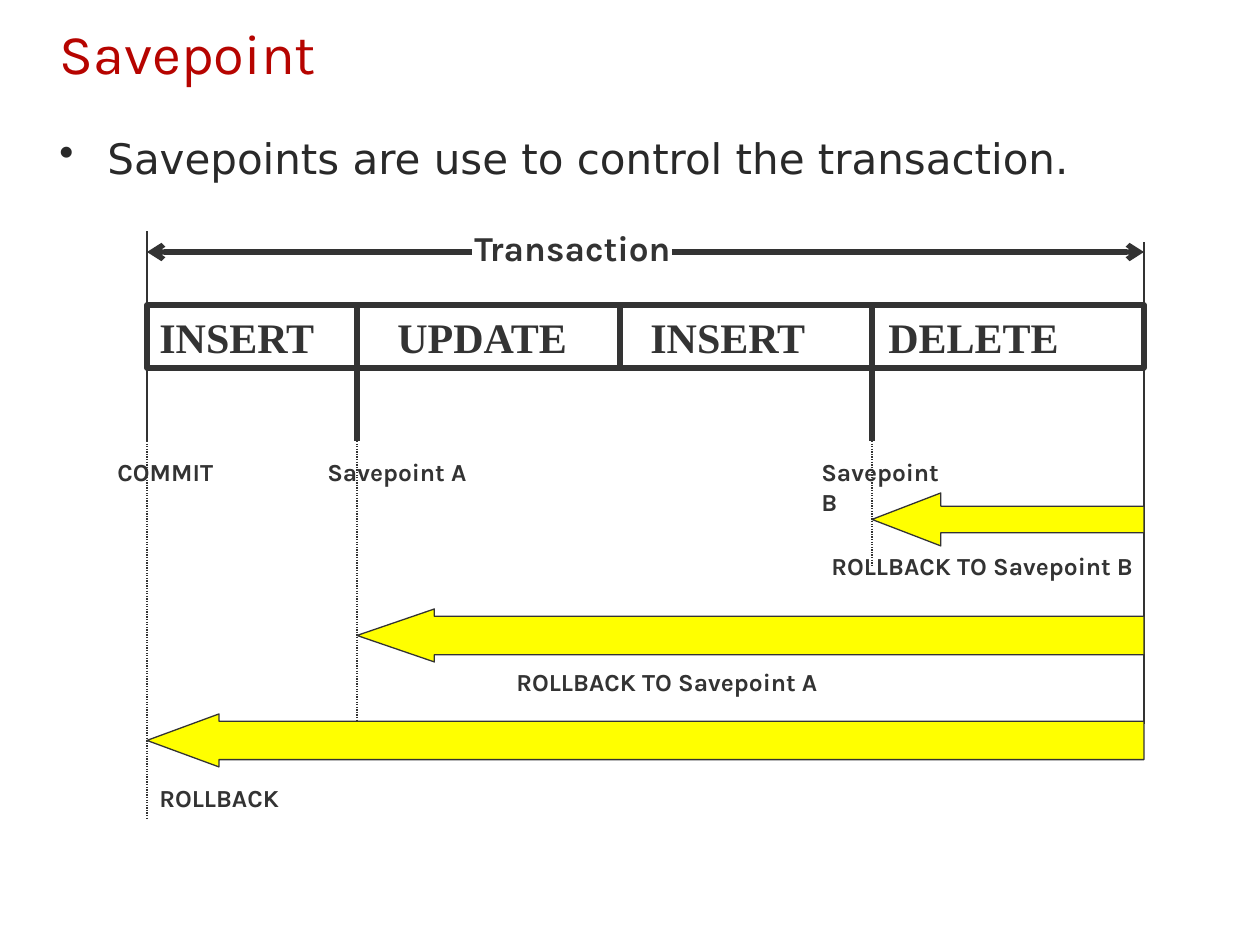
from dataclasses import dataclass

import lxml.etree
import pptx
import pptx.dml.color
import pptx.enum.dml
import pptx.enum.shapes
import pptx.enum.text
import pptx.oxml.ns
import pptx.util

PX = 914400 / 126
RED = pptx.dml.color.RGBColor(0xB6, 0x04, 0x00)
BLACK = pptx.dml.color.RGBColor(0x29, 0x29, 0x29)
GRAY = pptx.dml.color.RGBColor(0x33, 0x33, 0x33)
YELLOW = pptx.dml.color.RGBColor(0xFF, 0xFF, 0x00)
THIN, THICK = 0.75, 3

# Shared positions of the timeline
START, SAVE_A, STEP, SAVE_B, END = 147, 357, 620, 872, 1144
ROW_TOP, ROW_BOTTOM, MARK_BOTTOM = 305, 368, 441
SPAN_Y = 252


@dataclass
class Label:
    text: str
    x: int
    y: int
    w: int
    h: int = 43
    size: int = 14


@dataclass
class Line:
    x1: int
    y1: int
    x2: int
    y2: int
    width: float = THIN
    dotted: bool = False
    arrow: bool = False


@dataclass
class Rollback:
    x: int
    y: int
    shaft: float
    head: float


LINES = [
    # Steps and savepoint marks
    Line(SAVE_A, ROW_TOP, SAVE_A, MARK_BOTTOM, THICK),
    Line(STEP, ROW_TOP, STEP, ROW_BOTTOM, THICK),
    Line(SAVE_B, ROW_TOP, SAVE_B, MARK_BOTTOM, THICK),
    # Limits of the transaction
    Line(START, ROW_TOP, START, 231),
    Line(END, ROW_TOP, END, 242),
    Line(START, MARK_BOTTOM, START, ROW_BOTTOM),
    Line(END, 724, END, ROW_BOTTOM),
    # Span arrows
    Line(672, SPAN_Y, END, SPAN_Y, THICK, arrow=True),
    Line(472, SPAN_Y, START, SPAN_Y, THICK, arrow=True),
]
GUIDES = [
    Line(SAVE_A, MARK_BOTTOM, SAVE_A, 746, dotted=True),
    Line(SAVE_B, MARK_BOTTOM, SAVE_B, 567, dotted=True),
    Line(START, MARK_BOTTOM, START, 819, dotted=True),
]
ROLLBACKS = [
    Rollback(SAVE_B, 493, 0.5, 1.3),
    Rollback(SAVE_A, 609, 0.725, 1.46),
    Rollback(START, 714, 0.725, 1.36),
]
LABELS = [
    Label("COMMIT", 105, 451, 126),
    Label("Savepoint A", 315, 451, 200),
    Label("Savepoint B", 809, 451, 150, 72),
    Label("ROLLBACK TO Savepoint B", 819, 545, 368),
    Label("ROLLBACK TO Savepoint A", 504, 661, 368),
    Label("ROLLBACK", START, 777, 368),
    Label("Transaction", 462, 220, 368, 55, 20),
]


def px(n: float) -> int:
    return round(n * PX)


def box(x: int, y: int, w: int, h: int) -> tuple[int, ...]:
    return px(x), px(y), px(w), px(h)


def style(p, name: str, size: int, color, bold: bool = False) -> None:
    p.alignment = pptx.enum.text.PP_ALIGN.LEFT
    for r in p.runs:
        r.font.name = name
        r.font.size = pptx.util.Pt(size)
        r.font.bold = bold
        r.font.color.rgb = color


def add_text(s, label: Label):
    sp = s.shapes.add_textbox(*box(label.x, label.y, label.w, label.h))
    tf = sp.text_frame
    tf.word_wrap = True
    tf.text = label.text
    p = tf.paragraphs[0]
    style(p, "Karla", label.size, GRAY, True)
    return p


def add_line(s, line: Line) -> None:
    c = s.shapes.add_connector(
        pptx.enum.shapes.MSO_CONNECTOR.STRAIGHT,
        px(line.x1), px(line.y1), px(line.x2), px(line.y2))
    c.line.color.rgb = GRAY
    c.line.width = pptx.util.Pt(line.width)
    if line.dotted:
        c.line.dash_style = pptx.enum.dml.MSO_LINE.ROUND_DOT
    if line.arrow:
        ln = c.line._get_or_add_ln()
        lxml.etree.SubElement(ln, pptx.oxml.ns.qn("a:tailEnd"), type="arrow")
    lxml.etree.SubElement(c._element.spPr, pptx.oxml.ns.qn("a:effectLst"))


def add_outlined(s, kind, bounds: tuple[int, ...], width: float):
    sp = s.shapes.add_shape(kind, *bounds)
    sp.shadow.inherit = False
    sp.fill.background()
    sp.line.color.rgb = GRAY
    sp.line.width = pptx.util.Pt(width)
    return sp


def add_rollback(s, arrow: Rollback) -> None:
    sp = add_outlined(s, pptx.enum.shapes.MSO_SHAPE.LEFT_ARROW,
                      box(arrow.x, arrow.y, END - arrow.x, 53), THIN)
    sp.fill.solid()
    sp.fill.fore_color.rgb = YELLOW
    sp.adjustments[0] = arrow.shaft
    sp.adjustments[1] = arrow.head


def add_statements(s) -> None:
    sp = add_outlined(s, pptx.enum.shapes.MSO_SHAPE.RECTANGLE,
                      box(START, ROW_TOP, END - START, ROW_BOTTOM - ROW_TOP), THICK)
    tf = sp.text_frame
    tf.vertical_anchor = pptx.enum.text.MSO_ANCHOR.TOP
    tf.text = "INSERT\tUPDATE\tINSERT\tDELETE"
    p = tf.paragraphs[0]
    tabs = lxml.etree.SubElement(p._p.get_or_add_pPr(), pptx.oxml.ns.qn("a:tabLst"))
    for stop in (238, 491, 729):
        lxml.etree.SubElement(tabs, pptx.oxml.ns.qn("a:tab"), pos=str(px(stop)), algn="l")
    style(p, "Times New Roman", 24, GRAY, True)


def add_bullet(s) -> None:
    p = add_text(s, Label("Savepoints are use to control the transaction.", 47, 126, 1166, 73))
    pPr = p._p.get_or_add_pPr()
    pPr.set("marL", str(px(48)))
    pPr.set("indent", str(px(-48)))
    lxml.etree.SubElement(pPr, pptx.oxml.ns.qn("a:buChar"), char="•")
    style(p, "DejaVu Sans", 24, BLACK)


def main() -> None:
    prs = pptx.Presentation()
    prs.slide_width, prs.slide_height = px(1260), px(945)
    s = prs.slides.add_slide(prs.slide_layouts[5])

    # Title and bullet
    title = s.shapes.title
    title.left, title.top, title.width, title.height = box(47, 0, 1166, 105)
    title.text_frame.text = "Savepoint"
    title.text_frame.vertical_anchor = pptx.enum.text.MSO_ANCHOR.MIDDLE
    style(title.text_frame.paragraphs[0], "Karla", 32, RED)
    add_bullet(s)

    # Timeline, rollbacks and labels
    add_statements(s)
    for line in LINES:
        add_line(s, line)
    for line in GUIDES:
        add_line(s, line)
    for arrow in ROLLBACKS:
        add_rollback(s, arrow)
    for label in LABELS:
        add_text(s, label)

    prs.save("out.pptx")


if __name__ == "__main__":
    main()
